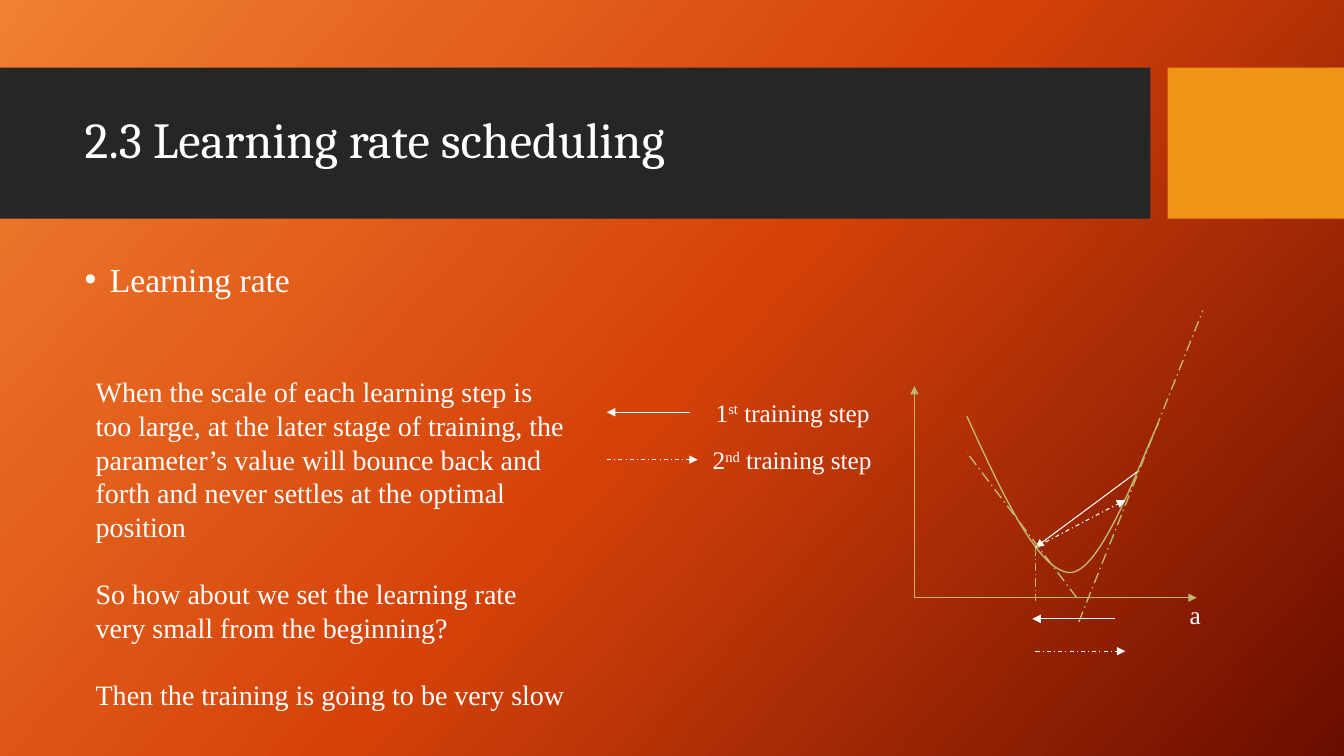
from copy import deepcopy
from pptx import Presentation
from pptx.dml.color import RGBColor
from pptx.enum.dml import MSO_LINE
from pptx.enum.shapes import MSO_CONNECTOR, MSO_SHAPE
from pptx.enum.text import MSO_ANCHOR, MSO_AUTO_SIZE, PP_ALIGN
from pptx.oxml.ns import qn
from pptx.oxml.xmlchemy import OxmlElement
from pptx.util import Inches, Pt

WHITE, OLIVE = "FFFFFF", "C1B56B"
SERIF = "Times New Roman"


def color(value):
    return RGBColor.from_string(value)


def add_span(para, text, size, font=SERIF):
    span = para.add_run()
    span.text = text
    span.font.size = Pt(size)
    span.font.name = font
    span.font.color.rgb = color(WHITE)
    return span


deck = Presentation()
deck.slide_width = Inches(13.33)
deck.slide_height = Inches(7.5)
page = deck.slides.add_slide(deck.slide_layouts[1])

background = page.background.fill
background.gradient()
background.gradient_angle = 318
stop_list = page.element.find(".//" + qn("a:gsLst"))
stop_list.insert(1, deepcopy(stop_list[0]))
for stop, position, value in zip(background.gradient_stops, (0, 0.5, 1), ("F18031", "D54209", "6A0D00")):
    stop.position = position
    stop.color.rgb = color(value)

for index, (left, width, value) in enumerate([(0, 11.41, "262626"), (11.58, 1.75, "F09415")]):
    band = page.shapes.add_shape(MSO_SHAPE.RECTANGLE, Inches(left), Inches(0.67), Inches(width), Inches(1.5))
    band.shadow.inherit = False
    band.fill.solid()
    band.fill.fore_color.rgb = color(value)
    band.line.fill.background()
    page.shapes._spTree.insert(2 + index, band._element)

title, body = page.placeholders
for holder, top, height, anchor in [(title, 0.82, 1.18, MSO_ANCHOR.MIDDLE), (body, 2.56, 3.94, MSO_ANCHOR.TOP)]:
    holder.left, holder.top = Inches(0.74), Inches(top)
    holder.width, holder.height = Inches(10.51), Inches(height)
    holder.text_frame.auto_size = MSO_AUTO_SIZE.NONE
    holder.text_frame.vertical_anchor = anchor
    para = holder.text_frame.paragraphs[0]
    para.alignment = PP_ALIGN.LEFT
    para.line_spacing = 0.9
    para.space_before = Pt(0)

add_span(title.text_frame.paragraphs[0], "2.3 Learning rate scheduling", 36, "Cambria")
para = body.text_frame.paragraphs[0]
properties = para._p.get_or_add_pPr()
properties.set("marL", str(Inches(0.25)))
properties.set("indent", str(Inches(-0.25)))
bullet = OxmlElement("a:buChar")
bullet.set("char", "•")
properties.append(bullet)
add_span(para, "Learning rate", 24)

labels = [
    (7, 3.89, 1.76, [("1", 0), ("st", 30000), (" training step", 0)]),
    (6.97, 4.36, 1.81, [("2", 0), ("nd", 30000), (" training step", 0)]),
    (11.7, 5.9, 0.34, [("a", 0)]),
]
for left, top, width, pieces in labels:
    box = page.shapes.add_textbox(Inches(left), Inches(top), Inches(width), Inches(0.4))
    box.text_frame.word_wrap = False
    box.text_frame.auto_size = MSO_AUTO_SIZE.SHAPE_TO_FIT_TEXT
    for text, baseline in pieces:
        span = add_span(box.text_frame.paragraphs[0], text, 18)
        if baseline:
            span._r.get_or_add_rPr().set("baseline", str(baseline))

start, first_control, second_control, valley = (9.59, 4.13), (9.94, 4.9), (10.3, 5.67), (10.61, 5.68)
loss_segments = [
    (start, first_control, second_control, valley),
    (valley, (10.93, 5.69), (11.34, 4.49), (11.49, 4.2)),
]
steps = 30
loss_points = []
for segment in loss_segments:
    for step in range(1, steps + 1):
        t = step / steps
        weights = ((1 - t) ** 3, 3 * t * (1 - t) ** 2, 3 * t**2 * (1 - t), t**3)
        loss_points.append([Inches(sum(w * point[axis] for w, point in zip(weights, segment))) for axis in (0, 1)])
builder = page.shapes.build_freeform(Inches(start[0]), Inches(start[1]))
builder.add_line_segments(loss_points, close=False)
loss_curve = builder.convert_to_shape()
loss_curve.shadow.inherit = False
loss_curve.fill.background()
loss_curve.line.color.rgb = color(OLIVE)
loss_curve.line.width = Pt(1)

SOLID, DASH, LONG = None, MSO_LINE.DASH_DOT, MSO_LINE.LONG_DASH_DOT
origin, bounce = (9.07, 5.93), (10.27, 5.43)
lines = [
    ((6.84, 4.09), (6.02, 4.09), WHITE, 0.75, SOLID, True),
    ((6.02, 4.56), (6.92, 4.56), WHITE, 0.75, DASH, True),
    (origin, (11.87, 5.93), OLIVE, 0.75, SOLID, True),
    (origin, (9.07, 3.83), OLIVE, 0.75, SOLID, True),
    (bounce, (10.27, 5.96), OLIVE, 0.75, LONG, False),
    ((10.7, 6.17), (11.93, 3.08), OLIVE, 1, LONG, False),
    ((11.06, 6.14), (10.24, 6.14), WHITE, 0.75, SOLID, True),
    ((11.28, 4.68), bounce, WHITE, 0.75, SOLID, True),
    ((10.27, 6.46), (11.16, 6.46), WHITE, 0.75, DASH, True),
    (bounce, (11.16, 4.96), WHITE, 0.75, DASH, True),
    ((10.68, 5.93), (9.59, 4.49), OLIVE, 1, LONG, False),
]
for begin, end, value, width, dash, has_arrow in lines:
    connector = page.shapes.add_connector(MSO_CONNECTOR.STRAIGHT, *[Inches(n) for n in begin + end])
    connector.line.color.rgb = color(value)
    connector.line.width = Pt(width)
    if dash:
        connector.line.dash_style = dash
    if has_arrow:
        arrow = OxmlElement("a:tailEnd")
        arrow.set("type", "triangle")
        connector.line._get_or_add_ln().append(arrow)
    connector._element.spPr.append(OxmlElement("a:effectLst"))

box = page.shapes.add_textbox(Inches(0.85), Inches(3.67), Inches(4.91), Inches(3.47))
frame = box.text_frame
frame.word_wrap = True
frame.auto_size = MSO_AUTO_SIZE.SHAPE_TO_FIT_TEXT
remarks = [
    "When the scale of each learning step is too large, at the later stage of training, "
    "the parameter’s value will bounce back and forth and never settles at the optimal position",
    "So how about we set the learning rate very small from the beginning?",
    "Then the training is going to be very slow",
]
for index, remark in enumerate(remarks):
    para = frame.add_paragraph() if index else frame.paragraphs[0]
    if index:
        para.space_before = Pt(24)
    add_span(para, remark, 20)

deck.save("out.pptx")
